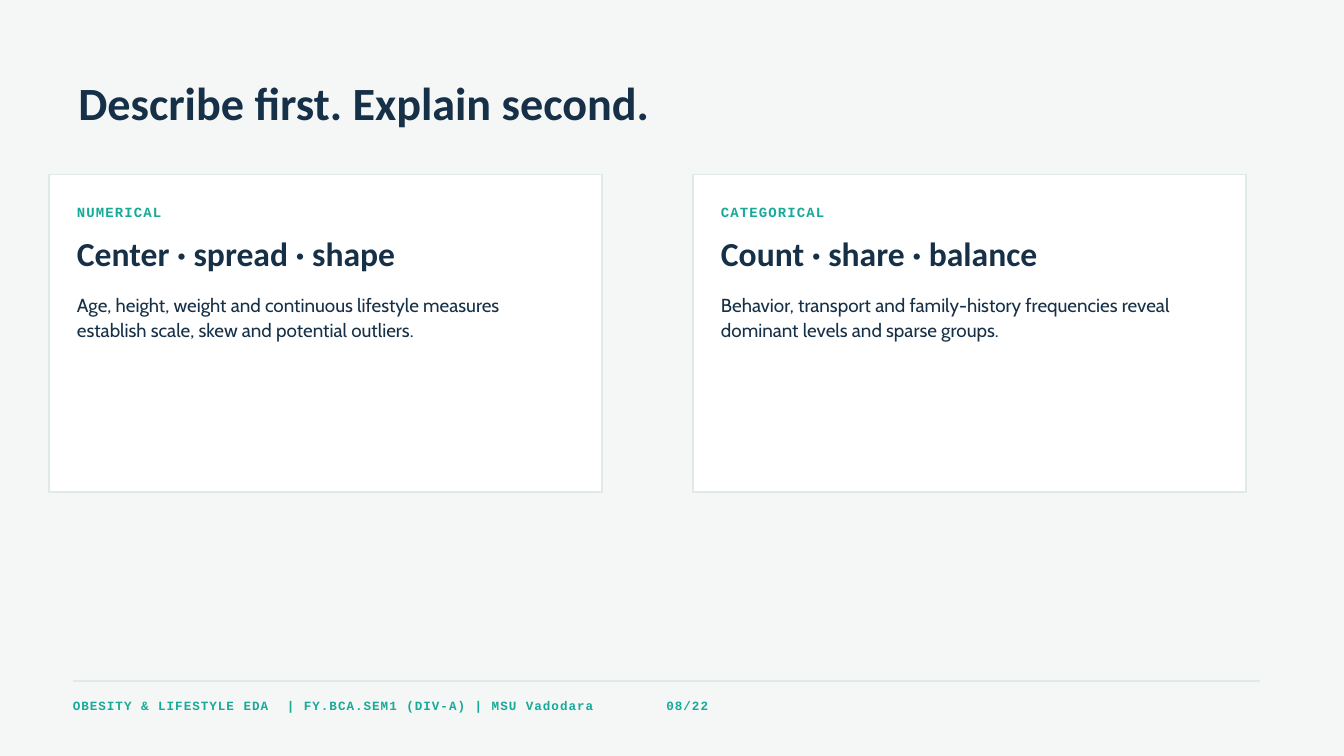
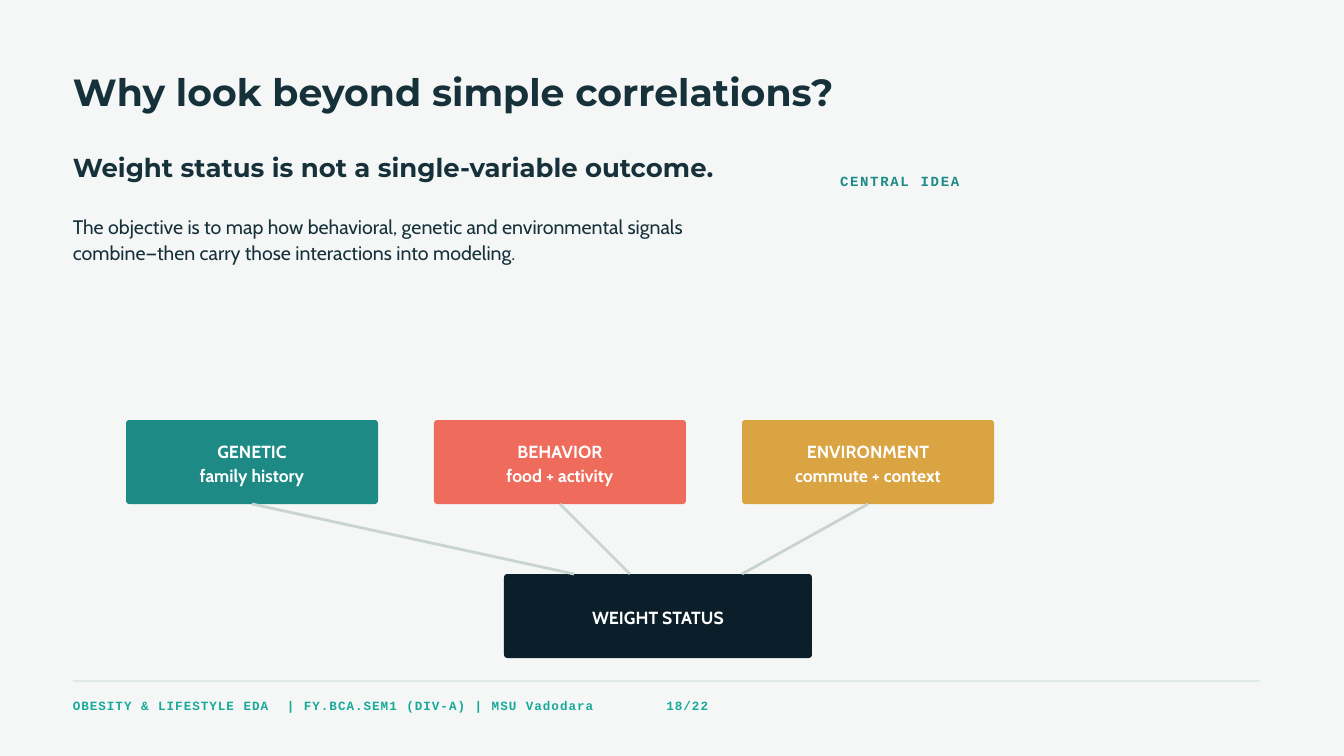
"""Build two slides of an exploratory data analysis talk."""
from dataclasses import dataclass

from lxml.etree import SubElement
from pptx import Presentation
from pptx.dml.color import RGBColor
from pptx.enum.shapes import MSO_CONNECTOR as Connector, MSO_SHAPE as Preset
from pptx.enum.text import MSO_ANCHOR as Anchor, MSO_AUTO_SIZE as AutoSize, PP_ALIGN as Align
from pptx.oxml.ns import qn
from pptx.util import Inches, Pt

WIDTH, HEIGHT = 20, 11.25
COLUMNS, ROWS = 48, 27
COLORS = {
    "background": "F4F7F6", "white": "FFFFFF", "rule": "DFE9E7", "link": "CAD4CF",
    "navy": "163047", "slate": "17313B", "accent": "18A999", "teal": "1D8A85",
    "coral": "EF6B5B", "gold": "D9A441", "night": "0B1F2A",
}


@dataclass(frozen=True)
class Style:
    """Describe the look of a piece of text; sizes are in points."""
    font: str
    size: float
    leading: float
    color: str
    bold: bool = True
    tracking: float = 0


@dataclass(frozen=True)
class Box:
    """Hold a rectangle in grid columns and rows."""
    left: float
    top: float
    width: float
    height: float

    def inside(self, left, top, width, height):
        """Return a box placed relative to this one."""
        return Box(self.left + left, self.top + top, width, height)

    def emu(self):
        """Return left, top, width and height as slide lengths."""
        return (*point(self.left, self.top), *point(self.width, self.height))


STYLES = {
    "title": Style("Calibri", 49.5, 51.5, "navy"),
    "card label": Style("Courier New", 15, 21, "accent", tracking=1.2),
    "card heading": Style("Calibri", 36, 37.4, "navy"),
    "card body": Style("Cabin", 20.2, 27.3, "navy", bold=False),
    "question": Style("Montserrat", 40.5, 42.5, "slate"),
    "claim": Style("Montserrat", 27.8, 29.1, "slate"),
    "objective": Style("Cabin", 21, 28.4, "slate", bold=False),
    "idea label": Style("Courier New", 15, 21, "teal", tracking=1.8),
    "node": Style("Cabin", 18.8, 26.2, "white"),
    "footer": Style("Courier New", 13.5, 18.9, "accent", tracking=1.1),
}
WIDE_SPACE = 10.3
SLIDE_BOX = Box(0, 0, COLUMNS, ROWS)
FOOTER_BOX = Box(2.6, 24.33, 42.4, 1.1)


def point(column, row):
    """Convert a grid position to slide lengths."""
    return Inches(column * WIDTH / COLUMNS), Inches(row * HEIGHT / ROWS)


def rgb(name):
    """Look up a named colour."""
    return RGBColor.from_string(COLORS[name])


def add_run(paragraph, text, style, tracking=None):
    """Append one styled run to a paragraph."""
    run = paragraph.add_run()
    run.text = text
    run.font.name = style.font
    run.font.size = Pt(style.size)
    run.font.bold = style.bold
    run.font.color.rgb = rgb(style.color)
    spacing = style.tracking if tracking is None else tracking
    if spacing:
        run.font._element.set("spc", str(round(spacing * 100)))


def set_margins(frame, inches):
    """Give a text frame the same margin on all sides."""
    frame.margin_left = frame.margin_right = Inches(inches)
    frame.margin_top = frame.margin_bottom = Inches(inches)


def add_text(slide, box, style_name, *runs):
    """Add a one-paragraph text box; a run may be a (text, tracking) pair."""
    style = STYLES[style_name]
    frame = slide.shapes.add_textbox(*box.emu()).text_frame
    frame.word_wrap = True
    frame.auto_size = AutoSize.SHAPE_TO_FIT_TEXT
    set_margins(frame, 0)
    paragraph = frame.paragraphs[0]
    paragraph.line_spacing = Pt(style.leading)
    for run in runs:
        text, tracking = (run, None) if isinstance(run, str) else run
        add_run(paragraph, text, style, tracking)


def add_line(slide, start, end, color, width):
    """Draw a straight line between two grid positions."""
    line = slide.shapes.add_connector(Connector.STRAIGHT, *point(*start), *point(*end))
    line.line.color.rgb = rgb(color)
    line.line.width = Pt(width)
    SubElement(line._element.spPr, qn("a:effectLst"))


def add_panel(slide, box, preset, fill):
    """Add a plain filled shape without outline or shadow."""
    shape = slide.shapes.add_shape(preset, *box.emu())
    shape.shadow.inherit = False
    shape.fill.solid()
    shape.fill.fore_color.rgb = rgb(fill)
    shape.line.fill.background()
    return shape


def add_card(slide, box, label, heading, body):
    """Place an outlined card with its label, heading and body."""
    card = add_panel(slide, box, Preset.RECTANGLE, "white")
    card.line.color.rgb = rgb("rule")
    card.line.width = Pt(1.5)
    add_text(slide, box.inside(1, 0.94, 7.5, 0.67), "card label", label)
    add_text(slide, box.inside(1, 2.26, 16.25, 1.32), "card heading", heading)
    add_text(slide, box.inside(1, 4.13, 16.25, 1.78), "card body", body)


def add_node(slide, box, fill, *lines):
    """Place a rounded box with centred lines of text."""
    node = add_panel(slide, box, Preset.ROUNDED_RECTANGLE, fill)
    node.adjustments[0] = 0.04
    frame = node.text_frame
    frame.word_wrap = True
    frame.vertical_anchor = Anchor.MIDDLE
    set_margins(frame, 0.06)
    style = STYLES["node"]
    for index, text in enumerate(lines):
        paragraph = frame.add_paragraph() if index else frame.paragraphs[0]
        paragraph.alignment = Align.CENTER
        paragraph.line_spacing = Pt(style.leading)
        add_run(paragraph, text, style)


def add_footer(slide, box, page):
    """Place the footer rule, course line and page count."""
    add_line(slide, (box.left, box.top), (box.left + box.width, box.top), "rule", 2)
    add_text(slide, box.inside(0, 0.49, 22.35, 0.6), "footer",
             "OBESITY & LIFESTYLE EDA", (" ", WIDE_SPACE),
             "| FY.BCA.SEM1 (DIV-A) | MSU Vadodara")
    add_text(slide, box.inside(21.2, 0.49, 22.35, 0.6), "footer", page)


def add_factor_map(slide, box):
    """Lay out the three factors and link each to the outcome below."""
    factors = [
        ("teal", "GENETIC", "family history", 2.5),
        ("coral", "BEHAVIOR", "food + activity", 4.5),
        ("gold", "ENVIRONMENT", "commute + context", 8.5),
    ]
    outcome = box.inside(13.5, 5.5, 11, 3)
    links = []
    for index, (fill, name, detail, landing) in enumerate(factors):
        factor = box.inside(index * 11, 0, 9, 3)
        add_node(slide, factor, fill, name, detail)
        links.append(((factor.left + factor.width / 2, factor.top + factor.height),
                      (outcome.left + landing, outcome.top)))
    add_node(slide, outcome, "night", "WEIGHT STATUS")
    for start, end in links:
        add_line(slide, start, end, "link", 3)


def add_base_slide(presentation):
    """Add a blank slide with the shared background."""
    slide = presentation.slides.add_slide(presentation.slide_layouts[6])
    slide.background.fill.solid()
    slide.background.fill.fore_color.rgb = rgb("background")
    return slide


def build_description_slide(presentation, box):
    """Build the slide that compares numerical and categorical summaries."""
    slide = add_base_slide(presentation)
    add_text(slide, box.inside(2.8, 2.93, 37.5, 1.85), "title", "Describe first. Explain second.")
    cards = [
        ("NUMERICAL", "Center · spread · shape",
         "Age, height, weight and continuous lifestyle measures establish scale, "
         "skew and potential outliers."),
        ("CATEGORICAL", "Count · share · balance",
         "Behavior, transport and family-history frequencies reveal dominant levels "
         "and sparse groups."),
    ]
    for index, card in enumerate(cards):
        add_card(slide, box.inside(1.75 + index * 23, 6.24, 19.75, 11.33), *card)
    add_footer(slide, FOOTER_BOX, "08/22")


def build_factors_slide(presentation, box):
    """Build the slide that links several factors to weight status."""
    slide = add_base_slide(presentation)
    add_text(slide, box.inside(2.6, 2.66, 37.5, 1.42), "question",
             "Why look beyond simple correlations?")
    add_text(slide, box.inside(2.6, 5.57, 23.25, 1.01), "claim",
             "Weight status is not a single-variable outcome.")
    add_text(slide, box.inside(2.6, 7.56, 22.5, 1.82), "objective",
             "The objective is to map how behavioral, genetic and environmental signals "
             "combine—then carry those interactions into modeling.")
    add_text(slide, box.inside(30, 6.05, 10, 0.67), "idea label", "CENTRAL IDEA")
    add_factor_map(slide, box.inside(4.5, 15, 31, 8.5))
    add_footer(slide, FOOTER_BOX, "18/22")


def main():
    """Create the presentation and save it."""
    presentation = Presentation()
    presentation.slide_width = Inches(WIDTH)
    presentation.slide_height = Inches(HEIGHT)
    build_description_slide(presentation, SLIDE_BOX)
    build_factors_slide(presentation, SLIDE_BOX)
    presentation.save("out.pptx")


if __name__ == "__main__":
    main()
